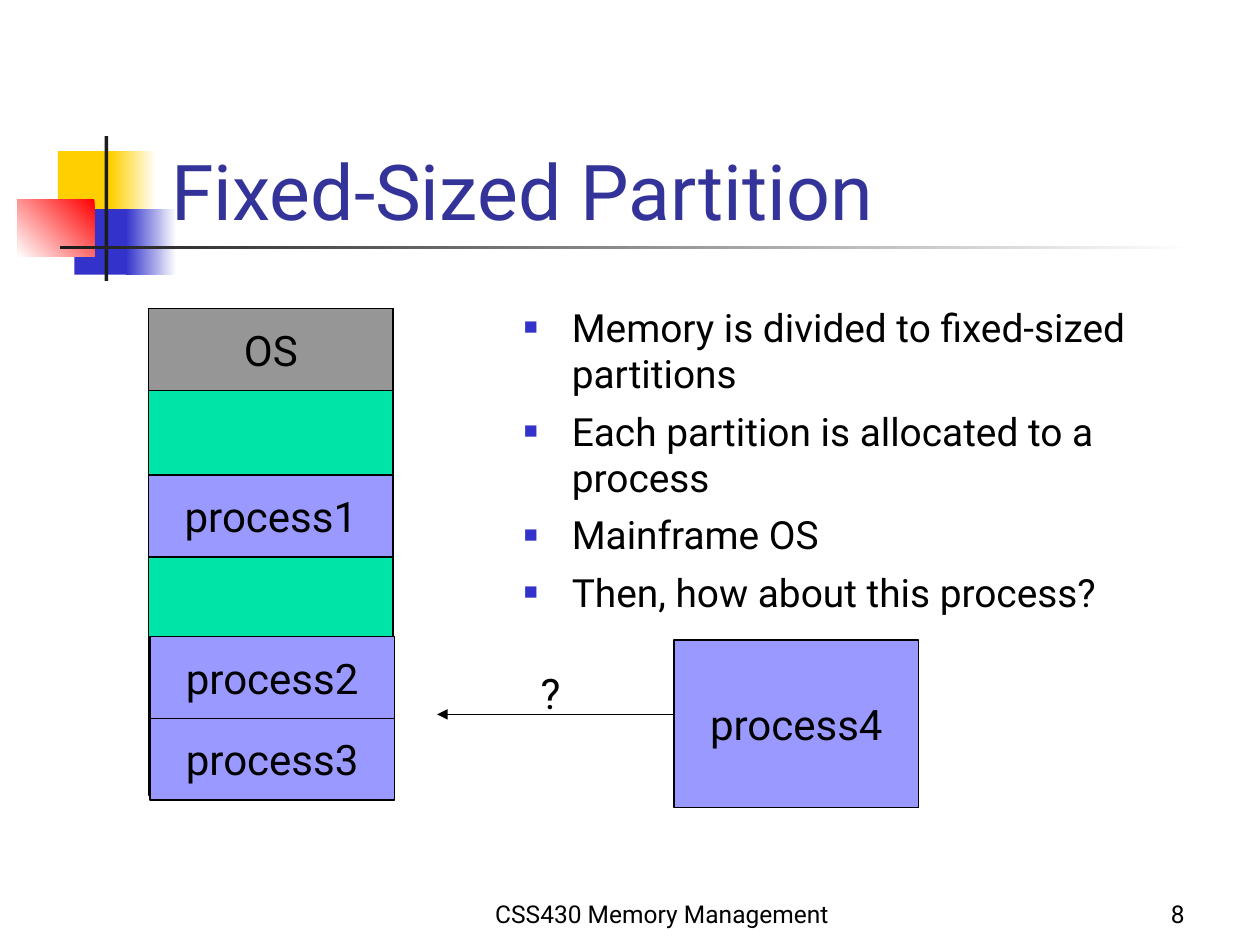
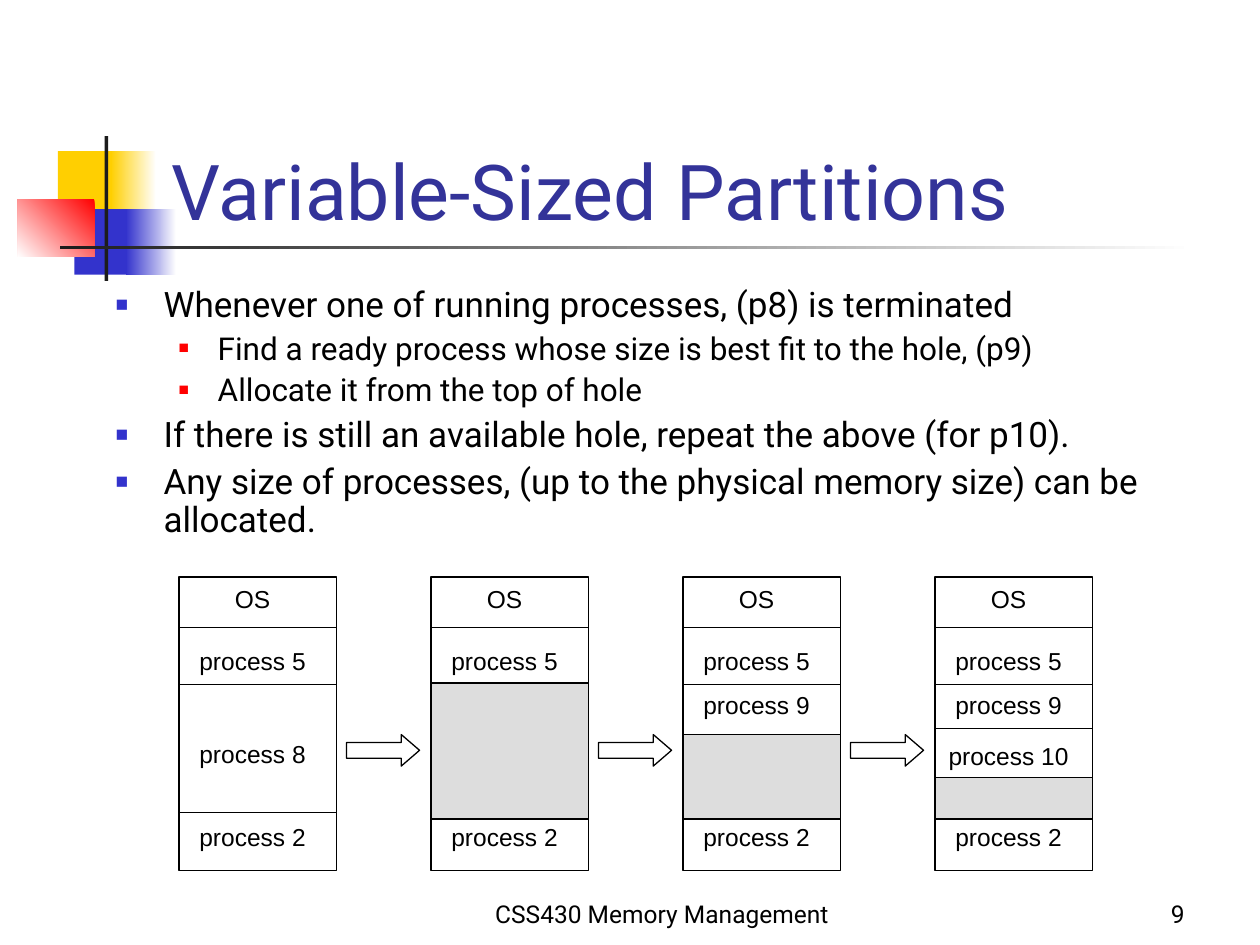
"""Build two slides on fixed-sized and variable-sized memory partitions."""
from lxml.etree import SubElement
from pptx import Presentation
from pptx.dml.color import RGBColor
from pptx.enum.shapes import MSO_CONNECTOR, MSO_SHAPE
from pptx.enum.text import MSO_ANCHOR as Anchor, PP_ALIGN as Align
from pptx.oxml.ns import qn
from pptx.util import Inches, Pt

BLACK, WHITE, RED = "000000", "FFFFFF", "FF0000"
YELLOW, BLUE, CHARCOAL, TITLE_BLUE = "FFCF01", "3333CC", "1C1C1C", "333399"
GREEN, GRAY, LILAC, HOLE_GRAY = "00E4A8", "969696", "9999FF", "DDDDDD"
hex_color = RGBColor.from_string


def add_box(slide, at, text="", fill=None, size=14, font="Roboto", color=BLACK,
            align=Align.CENTER, anchor=Anchor.MIDDLE, kind=MSO_SHAPE.RECTANGLE, outlined=True):
    """Add a filled shape, or a text box when there is no fill."""
    place = [Inches(length) for length in at]
    if fill:
        shape = slide.shapes.add_shape(kind, *place)
        shape.shadow.inherit = False
        shape.fill.solid()
        shape.fill.fore_color.rgb = hex_color(fill)
        if outlined:
            shape.line.color.rgb = hex_color(BLACK)
            shape.line.width = Pt(0.75)
        else:
            shape.line.fill.background()
    else:
        shape = slide.shapes.add_textbox(*place)
    frame = shape.text_frame
    frame.word_wrap = True
    frame.vertical_anchor = anchor
    if text:
        paragraph = frame.paragraphs[0]
        paragraph.alignment = align
        run = paragraph.add_run()
        run.text = text
        run.font.name = font
        run.font.size = Pt(size)
        run.font.color.rgb = hex_color(color)
    return shape


def add_line(slide, left, top, right, bottom):
    """Add a thin black line without a shadow."""
    ends = [Inches(length) for length in (left, top, right, bottom)]
    line = slide.shapes.add_connector(MSO_CONNECTOR.STRAIGHT, *ends)
    line.line.color.rgb = hex_color(BLACK)
    line.line.width = Pt(0.75)
    SubElement(line._element.spPr, qn("a:effectLst"))
    return line


presentation = Presentation()
presentation.slide_width, presentation.slide_height = Inches(10), Inches(7.5)

ornaments = [
    ((0.46, 1.2, 0.48, 0.52), YELLOW, None),
    ((0.88, 1.2, 0.36, 0.52), YELLOW, (WHITE, YELLOW, 180)),
    ((0.59, 1.66, 0.46, 0.52), BLUE, None),
    ((1, 1.66, 0.4, 0.52), BLUE, (WHITE, BLUE, 180)),
    ((0.14, 1.58, 0.61, 0.46), RED, (RED, WHITE, 225)),
    ((0.83, 1.08, 0.03, 1.15), CHARCOAL, None),
    ((0.48, 1.95, 9, 0.03), CHARCOAL, (WHITE, CHARCOAL, 180)),
]
bullet_levels = [(0.38, -0.38, BLUE, 60), (0.81, -0.31, RED, 55)]
fixed_bullets = [
    (0, "Memory is divided to fixed-sized partitions"),
    (0, "Each partition is allocated to a process"),
    (0, "Mainframe OS"),
    (0, "Then, how about this process?"),
]
variable_bullets = [
    (0, "Whenever one of running processes, (p8) is terminated"),
    (1, "Find a ready process whose size is best fit to the hole, (p9)"),
    (1, "Allocate it from the top of hole"),
    (0, "If there is still an available hole, repeat the above (for p10)."),
    (0, "Any size of processes, (up to the physical memory size) can be allocated."),
]
pages = [
    (8, "Fixed-Sized Partition", (4.06, 2.36, 5.11, 2.76), fixed_bullets, 1, [(22.2, 6)]),
    (9, "Variable-Sized Partitions", (0.82, 2.23, 8.5, 2.13), variable_bullets, 0.9,
     [(20, 5), (18, 4.5)]),
]

for number, title, body_place, bullets, line_spacing, level_sizes in pages:
    slide = presentation.slides.add_slide(presentation.slide_layouts[6])
    for place, color, gradient in ornaments:
        ornament = add_box(slide, place, fill=color, outlined=False)
        if gradient:
            ornament.fill.gradient()
            ornament.fill.gradient_angle = gradient[2]
            for stop, stop_color in zip(ornament.fill.gradient_stops, gradient):
                stop.color.rgb = hex_color(stop_color)
    add_box(slide, (3.67, 6.92, 3.17, 0.5), "CSS430 Memory Management", anchor=Anchor.BOTTOM)
    add_box(slide, (7.42, 6.92, 2.08, 0.5), str(number), align=Align.RIGHT, anchor=Anchor.BOTTOM)
    add_box(slide, (1.26, 0.67, 8.52, 1.25), title, size=44, color=TITLE_BLUE,
            align=Align.LEFT, anchor=Anchor.BOTTOM)

    body = add_box(slide, body_place, anchor=Anchor.TOP).text_frame
    for index, (level, text) in enumerate(bullets):
        paragraph = body.add_paragraph() if index else body.paragraphs[0]
        margin, indent, bullet_color, bullet_percent = bullet_levels[level]
        size, space_before = level_sizes[level]
        properties = paragraph._p.get_or_add_pPr()
        properties.set("marL", str(Inches(margin)))
        properties.set("indent", str(Inches(indent)))
        SubElement(SubElement(properties, qn("a:buClr")), qn("a:srgbClr"), val=bullet_color)
        SubElement(properties, qn("a:buSzPct"), val=str(bullet_percent * 1000))
        SubElement(properties, qn("a:buFont"), typeface="Arial")
        SubElement(properties, qn("a:buChar"), char="■")
        paragraph.level = level
        paragraph.line_spacing = line_spacing
        paragraph.space_before = Pt(space_before if index else 0)
        run = paragraph.add_run()
        run.text = text
        run.font.name = "Roboto"
        run.font.size = Pt(size)
        run.font.color.rgb = hex_color(BLACK)

fixed_slide, variable_slide = presentation.slides

add_box(fixed_slide, (1.18, 2.45, 1.94, 3.86), fill=GREEN)
partitions = [
    ("OS", 1.18, 2.45, 0.65, GRAY),
    ("process1", 1.18, 3.77, 0.65, LILAC),
    ("process2", 1.19, 5.05, 0.65, LILAC),
    ("process3", 1.19, 5.7, 0.65, LILAC),
    ("process4", 5.35, 5.08, 1.33, LILAC),
]
for name, left, top, height, color in partitions:
    add_box(fixed_slide, (left, top, 1.94, height), name, color, size=24)
arrow = add_line(fixed_slide, 5.35, 5.67, 3.47, 5.67)
SubElement(arrow.line._get_or_add_ln(), qn("a:tailEnd"), type="triangle")
add_box(fixed_slide, (4.1, 5.25, 0.54, 0.5), "?", size=24, anchor=Anchor.TOP)

common_labels = [("OS", 4.58), ("process 5", 5.07), ("process 2", 6.47)]
common_dividers = [4.98, 5.43, 6.45]
memory_states = [
    ([("process 8", 5.81)], [], None),
    ([], [], (5.42, 1.08)),
    ([("process 9", 5.42)], [], (5.83, 0.67)),
    ([("process 9", 5.42), ("process 10", 5.83)], [5.78], (6.17, 0.33)),
]
for column, (labels, dividers, hole) in enumerate(memory_states):
    left = 1.42 + 2 * column
    add_box(variable_slide, (left, 4.58, 1.25, 2.33), fill=WHITE)
    for top in common_dividers + dividers:
        add_line(variable_slide, left, top, left + 1.25, top)
    if hole:
        add_box(variable_slide, (left, hole[0], 1.25, hole[1]), fill=HOLE_GRAY)
    for name, top in common_labels + labels:
        add_box(variable_slide, (left, top, 1.17, 0.34), name, font="Arial")
    if column:
        step = add_box(variable_slide, (left - 0.67, 5.83, 0.58, 0.25), fill=WHITE,
                       kind=MSO_SHAPE.RIGHT_ARROW)
        step.adjustments[0], step.adjustments[1] = 0.5, 0.58

presentation.save("out.pptx")
